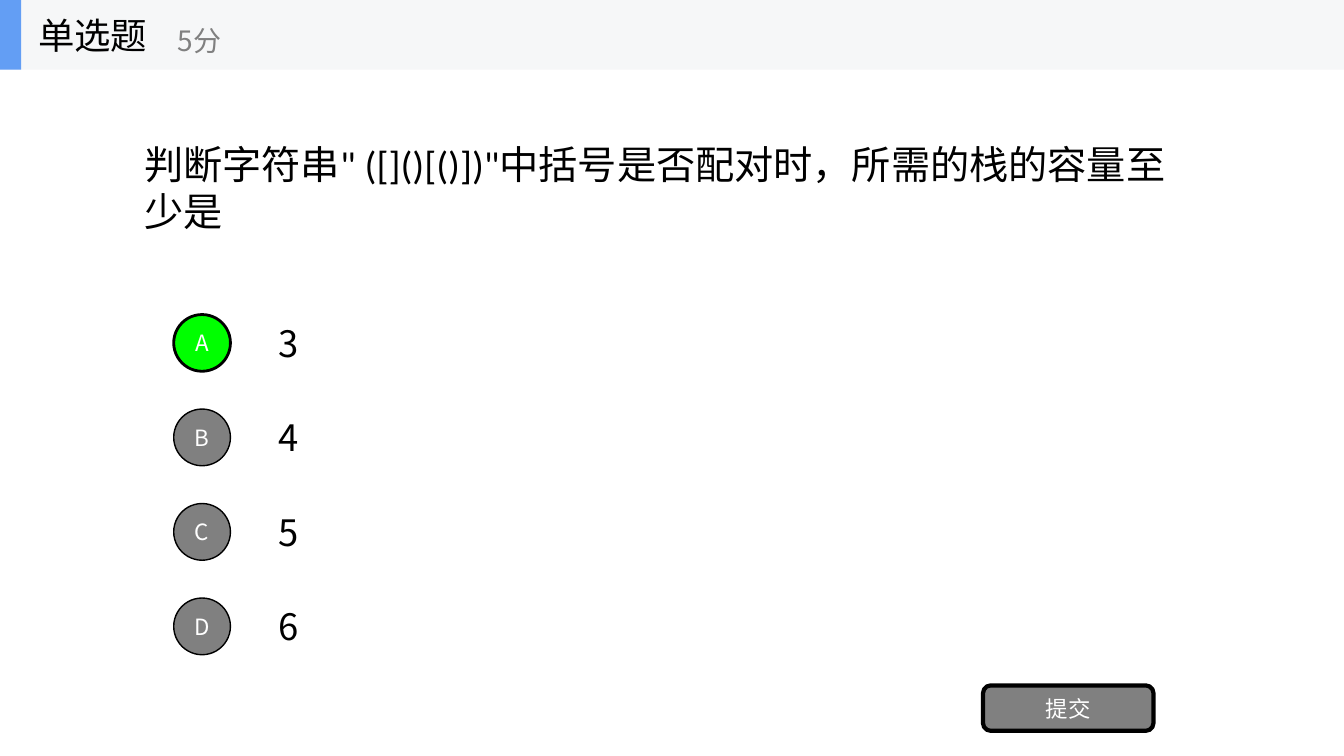
from collections import namedtuple

from lxml.etree import SubElement
from pptx import Presentation
from pptx.dml.color import RGBColor
from pptx.enum.shapes import MSO_SHAPE as Shape
from pptx.enum.text import MSO_ANCHOR as Anchor, PP_ALIGN as Align
from pptx.oxml.ns import qn
from pptx.util import Inches, Pt

BLACK = RGBColor(0x00, 0x00, 0x00)
WHITE = RGBColor(0xFF, 0xFF, 0xFF)
GRAY = RGBColor(0x80, 0x80, 0x80)
GREEN = RGBColor(0x00, 0xFF, 0x00)
BLUE = RGBColor(0x63, 0x9E, 0xF4)
PALE = RGBColor(0xF6, 0xF7, 0xF8)

CJK_FONT = "Noto Sans CJK SC"
WIDTH, HEIGHT = 13.33, 7.5
COLUMN, ROW = WIDTH / 10, HEIGHT / 8
HEADER_HEIGHT = 0.69

Box = namedtuple("Box", "left top width height")

TITLE = {"size": Pt(26), "name": CJK_FONT, "color": BLACK}
POINTS = {"size": Pt(20), "name": CJK_FONT, "color": GRAY}
QUESTION = {"size": Pt(28), "name": "Calibri", "color": BLACK}
ANSWER = {"size": Pt(26), "name": CJK_FONT, "color": BLACK}
BUTTON = {"size": Pt(16), "name": CJK_FONT, "color": WHITE}


def write_text(shape, text, style, align=Align.LEFT, wrap=True):
    frame = shape.text_frame
    for key, value in {"word_wrap": wrap, "vertical_anchor": Anchor.MIDDLE}.items():
        setattr(frame, key, value)
    paragraph = frame.paragraphs[0]
    paragraph.alignment = align
    run = paragraph.add_run()
    run.text = text
    for key, value in style.items():
        if key == "color":
            run.font.color.rgb = value
        else:
            setattr(run.font, key, value)
    # East Asian typeface
    SubElement(run.font._element, qn("a:ea")).set("typeface", CJK_FONT)


def add_text(shapes, box, text, style, wrap=True):
    shape = shapes.add_textbox(*map(Inches, box))
    write_text(shape, text, style, wrap=wrap)


def add_filled(shapes, kind, box, fill, line_width=0):
    shape = shapes.add_shape(kind, *map(Inches, box))
    shape.shadow.inherit = False
    shape.fill.solid()
    shape.fill.fore_color.rgb = fill
    if line_width:
        shape.line.color.rgb = BLACK
        shape.line.width = Pt(line_width)
    else:
        shape.line.fill.background()
    return shape


def add_button(shapes, kind, box, text, fill, line_width):
    button = add_filled(shapes, kind, box, fill, line_width)
    write_text(button, text, BUTTON, Align.CENTER)


def add_header(slide, box, title, points):
    shapes = slide.shapes.add_group_shape().shapes
    add_filled(shapes, Shape.RECTANGLE, box, PALE)
    add_filled(shapes, Shape.RECTANGLE, box._replace(width=0.21), BLUE)
    add_text(shapes, box._replace(left=box.left + 0.28, width=2.08),
             title, TITLE, wrap=False)
    add_text(shapes, Box(box.left + COLUMN * 1.25, box.top + 0.12, 2.5, 0.56),
             points, POINTS, wrap=False)


def add_options(slide, box, answers, correct):
    pitch = box.height / len(answers)
    text_height, diameter = pitch * 0.75, pitch * 0.6
    for index, (letter, answer) in enumerate(answers.items()):
        top = box.top + index * pitch
        add_text(slide.shapes,
                 Box(box.left + COLUMN, top, box.width - COLUMN, text_height),
                 answer, ANSWER)
        circle = Box(box.left + 0.39, top + (text_height - diameter) / 2,
                     diameter, diameter)
        fill, line_width = (GREEN, 2) if letter == correct else (GRAY, 1)
        add_button(slide.shapes, Shape.OVAL, circle, letter, fill, line_width)


def add_choice_slide(presentation):
    slide = presentation.slides.add_slide(presentation.slide_layouts[6])
    # Question
    add_text(slide.shapes, Box(COLUMN, HEADER_HEIGHT, COLUMN * 8, ROW * 2.5),
             '判断字符串" ([]()[()])"中括号是否配对时，所需的栈的容量至少是', QUESTION)
    # Answers
    add_options(slide, Box(COLUMN, 3.05, COLUMN * 8, ROW * 4),
                {"A": "3", "B": "4", "C": "5", "D": "6"}, correct="A")
    # Submit button
    add_button(slide.shapes, Shape.ROUNDED_RECTANGLE,
               Box(9.75, 6.8, 1.69, 0.45), "提交", GRAY, 3)
    # Header
    add_header(slide, Box(0, 0, WIDTH, HEADER_HEIGHT), "单选题", "5分")


def main():
    presentation = Presentation()
    presentation.slide_width = Inches(WIDTH)
    presentation.slide_height = Inches(HEIGHT)
    add_choice_slide(presentation)
    presentation.save("out.pptx")


if __name__ == "__main__":
    main()
